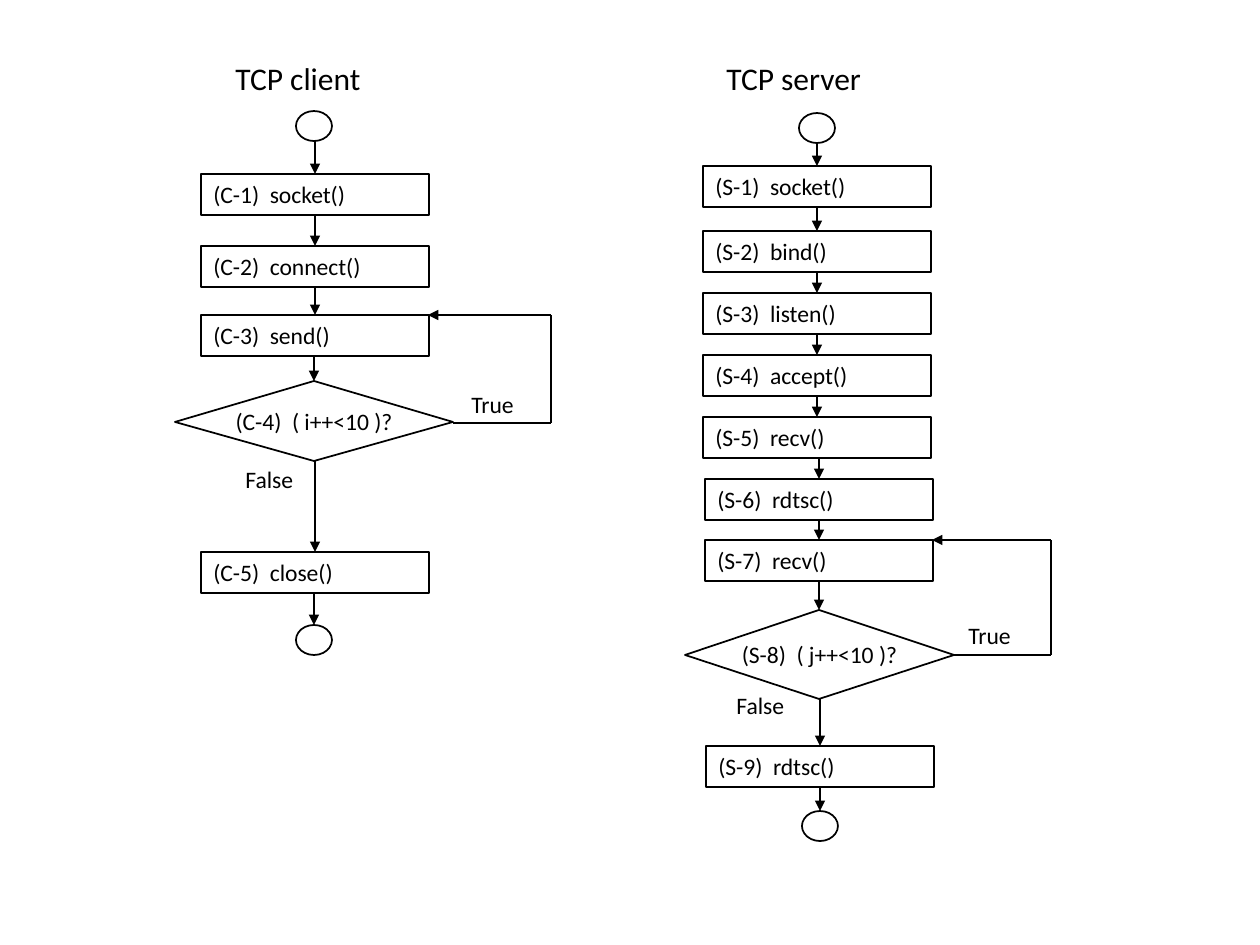
import dataclasses

import lxml.etree
import pptx
import pptx.dml.color
import pptx.enum.shapes
import pptx.enum.text
import pptx.oxml.ns
import pptx.util

SHAPE = pptx.enum.shapes.MSO_SHAPE
ALIGN = pptx.enum.text.PP_ALIGN
ANCHOR = pptx.enum.text.MSO_ANCHOR
PX = 914400 / 126
BOX_W, BOX_H = 228, 41
CIRCLE_W, CIRCLE_H = 36, 30


@dataclasses.dataclass
class Theme:
    ink: str = "000000"
    paper: str = "FFFFFF"
    font: str = "Calibri"
    title: float = 18
    body: float = 13.5
    outline: float = 1
    arrow: float = 1.5


def emu(*lengths):
    return [round(n * PX) for n in lengths]


def rgb(value):
    return pptx.dml.color.RGBColor.from_string(value)


class Flowchart:
    def __init__(self, prs, theme):
        self.theme = theme
        self.s = prs.slides.add_slide(prs.slide_layouts[6])
        self.shapes = self.s.shapes

    def start_lane(self):
        self.shapes = self.s.shapes.add_group_shape().shapes

    def style(self, sp, filled=True):
        sp.shadow.inherit = False
        if filled:
            sp.fill.solid()
            sp.fill.fore_color.rgb = rgb(self.theme.paper)
        else:
            sp.fill.background()
        sp.line.color.rgb = rgb(self.theme.ink)
        sp.line.width = pptx.util.Pt(self.theme.outline)

    def text(self, sp, words, size, align=ALIGN.LEFT, anchor=ANCHOR.MIDDLE):
        tf = sp.text_frame
        tf.word_wrap = True
        tf.vertical_anchor = anchor
        p = tf.paragraphs[0]
        p.alignment = align
        r = p.add_run()
        r.text = words
        r.font.name = self.theme.font
        r.font.size = pptx.util.Pt(size)
        r.font.color.rgb = rgb(self.theme.ink)

    def label(self, words, x, y, w, h, size):
        sp = self.shapes.add_textbox(*emu(x, y, w, h))
        self.text(sp, words, size, anchor=ANCHOR.TOP)
        sp.text_frame.auto_size = pptx.enum.text.MSO_AUTO_SIZE.SHAPE_TO_FIT_TEXT

    def circle(self, x, y):
        sp = self.shapes.add_shape(SHAPE.OVAL, *emu(x, y, CIRCLE_W, CIRCLE_H))
        self.style(sp, filled=False)
        return x + CIRCLE_W // 2, y, y + CIRCLE_H

    def step(self, words, x, y):
        sp = self.shapes.add_shape(SHAPE.RECTANGLE, *emu(x, y, BOX_W, BOX_H))
        self.style(sp)
        self.text(sp, words, self.theme.body)
        return x + BOX_W // 2, y, y + BOX_H

    def decision(self, words, x, y, w, h):
        cx, cy = x + w // 2, y + h // 2 + 1
        fb = self.shapes.build_freeform(x, cy, scale=PX)
        fb.add_line_segments([(cx, y + h), (x + w, cy), (cx, y)], close=True)
        sp = fb.convert_to_shape()
        self.style(sp)
        self.text(sp, words, self.theme.body, ALIGN.CENTER)
        return cx, y, y + h

    def line(self, x1, y1, x2, y2, arrow=False):
        kind = pptx.enum.shapes.MSO_CONNECTOR.STRAIGHT
        sp = self.shapes.add_connector(kind, *emu(x1, y1, x2, y2))
        sp.line.color.rgb = rgb(self.theme.ink)
        sp.line.width = pptx.util.Pt(self.theme.arrow)
        qn = pptx.oxml.ns.qn
        pr = sp._element.spPr
        if arrow:
            lxml.etree.SubElement(pr.find(qn("a:ln")), qn("a:tailEnd"), type="triangle")
        lxml.etree.SubElement(pr, qn("a:effectLst"))

    def loop(self, start, far, end):
        (x1, y1), (x2, y2) = start, end
        self.line(x1, y1, far, y1)
        self.line(far, y1, far, y2)
        self.line(far, y2, x2, y2, arrow=True)

    def lane(self, title, nodes, labels, loop):
        self.start_lane()
        self.label(*title, self.theme.title)
        draw = {"circle": self.circle, "step": self.step, "decision": self.decision}
        placed = [draw[kind](*args) for kind, *args in nodes]
        for (_, _, bottom), (cx, top, _) in zip(placed, placed[1:]):
            self.line(cx, bottom, cx, top, arrow=True)
        for label in labels:
            self.label(*label, self.theme.body)
        self.loop(*loop)


CLIENT = dict(
    title=("TCP client", 223, 53, 181, 57),
    nodes=[
        ("circle", 296, 111),
        ("step", "(C-1)  socket()", 201, 174),
        ("step", "(C-2)  connect()", 201, 246),
        ("step", "(C-3)  send()", 201, 315),
        ("decision", "(C-4)  ( i++<10 )?", 175, 381, 278, 80),
        ("step", "(C-5)  close()", 201, 552),
        ("circle", 296, 625),
    ],
    labels=[("True", 459, 384, 83, 47), ("False", 233, 459, 98, 47)],
    loop=((453, 423), 551, (428, 315)),
)

SERVER_CALLS = ["socket", "bind", "listen", "accept", "recv"]
SERVER_TOPS = [166, 231, 293, 355, 417]
SERVER = dict(
    title=("TCP server", 714, 53, 202, 57),
    nodes=[
        ("circle", 799, 113),
        *[("step", f"(S-{n})  {call}()", 703, y)
          for n, (call, y) in enumerate(zip(SERVER_CALLS, SERVER_TOPS), 1)],
        ("step", "(S-6)  rdtsc()", 705, 479),
        ("step", "(S-7)  recv()", 705, 540),
        ("decision", "(S-8)  ( j++<10 )?", 685, 610, 269, 89),
        ("step", "(S-9)  rdtsc()", 706, 746),
        ("circle", 802, 811),
    ],
    labels=[("True", 956, 615, 84, 47), ("False", 724, 685, 97, 47)],
    loop=((954, 655), 1051, (932, 540)),
)


def main():
    prs = pptx.Presentation()
    prs.slide_width, prs.slide_height = emu(1260, 945)
    chart = Flowchart(prs, Theme())
    for lane in (CLIENT, SERVER):
        chart.lane(**lane)
    prs.save("out.pptx")


if __name__ == "__main__":
    main()
